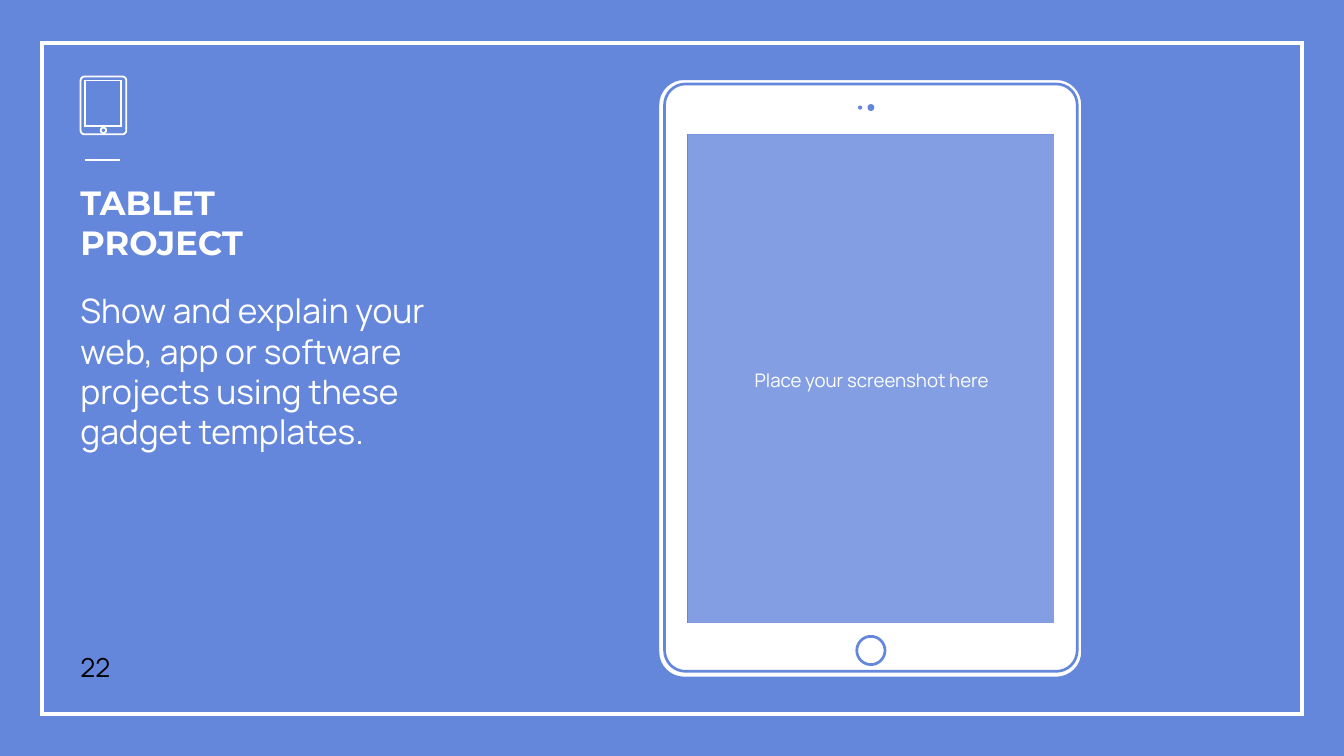
from dataclasses import dataclass
from math import cos, pi, sin

from lxml import etree
from pptx import Presentation
from pptx.dml.color import RGBColor
from pptx.enum import shapes, text
from pptx.oxml import ns
from pptx.util import Inches, Pt


@dataclass(frozen=True)
class Theme:
    """Colours, fonts and type sizes of the slide."""
    blue: RGBColor = RGBColor(0x64, 0x86, 0xDB)
    white: RGBColor = RGBColor(0xFF, 0xFF, 0xFF)
    black: RGBColor = RGBColor(0, 0, 0)
    head: str = "Montserrat"
    body: str = "Manrope"
    large: int = 18
    mid: int = 14
    small: int = 10


THEME = Theme()


def paint(shape, fill=None, line=None, width=0.75):
    """Set the fill and line of a shape and drop its shadow."""
    shape.shadow.inherit = False
    if fill is None:
        shape.fill.background()
    else:
        shape.fill.solid()
        shape.fill.fore_color.rgb = fill
    if line is None:
        shape.line.fill.background()
    else:
        shape.line.color.rgb = line
        shape.line.width = Pt(width)
        etree.SubElement(shape.line._get_or_add_ln(), ns.qn("a:miter"), lim="800000")


def fade(shape, share):
    """Make a solid fill partly opaque, by percent."""
    color = shape.fill._xPr.find(".//" + ns.qn("a:srgbClr"))
    etree.SubElement(color, ns.qn("a:alpha"), val=str(share * 1000))


def write(shape, words, size, font=THEME.body, color=THEME.white, bold=False,
          anchor=text.MSO_ANCHOR.TOP, align=text.PP_ALIGN.LEFT):
    """Put one styled paragraph in a shape."""
    frame = shape.text_frame
    frame.word_wrap = True
    frame.vertical_anchor = anchor
    frame.margin_left = frame.margin_right = Inches(0.1)
    frame.margin_top = frame.margin_bottom = Inches(0.1)
    para = frame.paragraphs[0]
    para.text = words
    para.alignment = align
    para.font.name = font
    para.font.size = Pt(size)
    para.font.bold = bold
    para.font.color.rgb = color


def label(slide, box, words, size, **style):
    """Add a text box."""
    write(slide.shapes.add_textbox(*map(Inches, box)), words, size, **style)


def block(slide, box, **style):
    """Add a painted rectangle."""
    shape = slide.shapes.add_shape(shapes.MSO_SHAPE.RECTANGLE, *map(Inches, box))
    paint(shape, **style)
    return shape


def rule(slide, start, end):
    """Add a thin white line."""
    line = slide.shapes.add_connector(
        shapes.MSO_CONNECTOR.STRAIGHT, *map(Inches, start + end))
    line.line.color.rgb = THEME.white
    line.line.width = Pt(0.75)
    etree.SubElement(line._element.spPr, ns.qn("a:effectLst"))


def loop(left, top, wide, high, radius=0, steps=8):
    """Return the points of a box with rounded corners."""
    spots = []
    corners = ((1, 1), (0, 1), (0, 0), (1, 0))
    for turn, (right, low) in enumerate(corners):
        x = left + (wide - radius if right else radius)
        y = top + (high - radius if low else radius)
        for step in range(steps + 1 if radius else 1):
            angle = (turn + step / steps) * pi / 2
            spots.append((Inches(x + radius * cos(angle)),
                          Inches(y + radius * sin(angle))))
    return spots


def disc(x, y, radius):
    """Return the points of a circle."""
    return loop(x - radius, y - radius, 2 * radius, 2 * radius, radius)


def outline(slide, loops, **style):
    """Add one freeform whose inner loops are holes."""
    first, *rest = loops
    maker = slide.shapes.build_freeform(*first[0])
    maker.add_line_segments(first[1:])
    for spots in rest:
        maker.move_to(*spots[0])
        maker.add_line_segments(spots[1:])
    paint(maker.convert_to_shape(), **style)


def tablet(slide):
    """Draw the large tablet and its screen."""
    outline(slide, [
        loop(4.9, 0.59, 3.15, 4.45, 0.19),
        loop(4.94, 0.62, 3.08, 4.38, 0.16),
        loop(4.95, 0.63, 3.06, 4.36, 0.15),
        loop(5.12, 1, 2.72, 3.63),
        disc(6.4, 0.8, 0.01),
        disc(6.48, 0.8, 0.02),
        disc(6.48, 4.84, 0.11),
        disc(6.48, 4.84, 0.1),
    ], fill=THEME.white, line=THEME.blue)
    screen = block(slide, (5.12, 1, 2.73, 3.65), fill=THEME.white)
    fade(screen, 20)
    write(screen, "Place your screenshot here", THEME.small,
          anchor=text.MSO_ANCHOR.MIDDLE, align=text.PP_ALIGN.CENTER)


def icon(slide):
    """Draw the small tablet icon."""
    outline(slide, [
        loop(0.6, 0.57, 0.34, 0.43, 0.03),
        loop(0.63, 0.6, 0.27, 0.34),
        disc(0.77, 0.97, 0.02),
    ], line=THEME.white, width=0.96)


def main():
    """Build the slide and save it."""
    deck = Presentation()
    deck.slide_width = Inches(10)
    deck.slide_height = deck.slide_width * 9 // 16
    slide = deck.slides.add_slide(deck.slide_layouts[6])
    slide.background.fill.solid()
    slide.background.fill.fore_color.rgb = THEME.blue

    block(slide, (0.31, 0.32, 9.38, 4.99), line=THEME.white, width=2.25)
    rule(slide, (0.63, 1.19), (0.89, 1.19))
    tablet(slide)
    label(slide, (0.5, 4.58, 0.6, 0.6), "22", THEME.mid,
          color=THEME.black, anchor=text.MSO_ANCHOR.BOTTOM)
    label(slide, (0.5, 1.25, 2.36, 0.89), "TABLET PROJECT", THEME.large,
          font=THEME.head, bold=True)
    label(slide, (0.5, 2.06, 3.22, 2.82),
          "Show and explain your web, app or software projects "
          "using these gadget templates.", THEME.large)
    icon(slide)
    deck.save("out.pptx")


if __name__ == "__main__":
    main()
